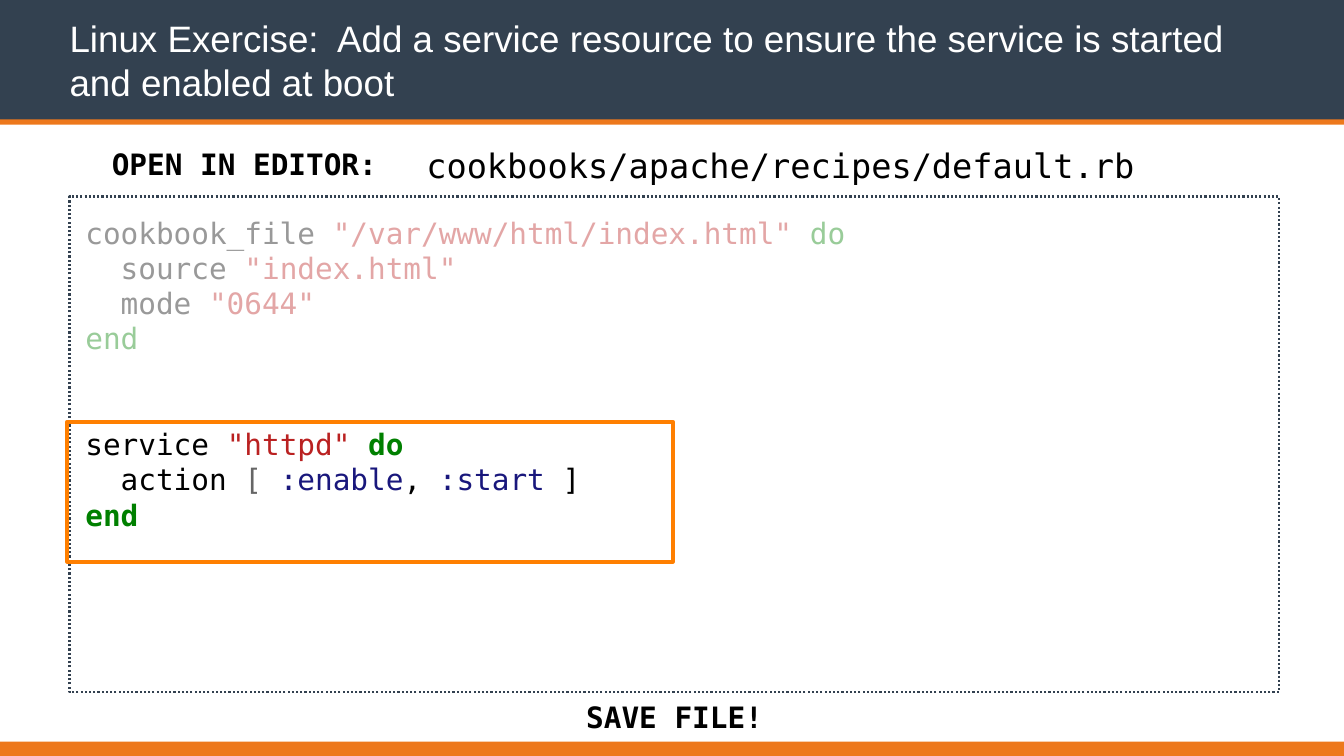
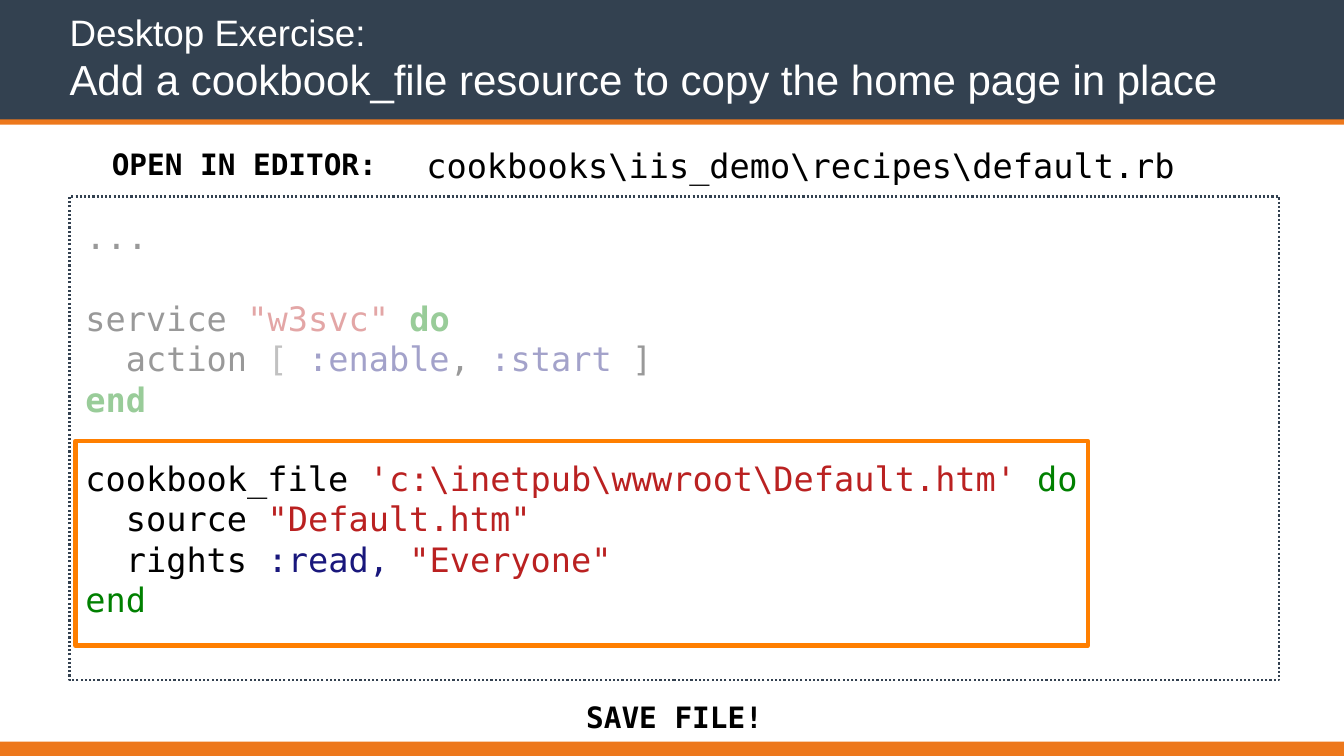
"""Build two code exercise slides that share a title band, editor frame and footer."""
from dataclasses import dataclass

from lxml import etree
from pptx import Presentation
from pptx.dml.color import RGBColor
from pptx.enum import dml, shapes, text
from pptx.oxml import ns
from pptx.util import Inches, Pt


@dataclass(frozen=True)
class Theme:
    navy: str = "334150"
    orange: str = "ED781C"
    highlight: str = "FF7F00"
    white: str = "FFFFFF"
    black: str = "000000"
    title_font: str = "Arial"
    code_font: str = "DejaVu Sans Mono"
    label_size: int = 28
    path_size: int = 32
    code_pitch: float = 1.2
    title_pitch: float = 1.18
    veil_opacity: int = 60


THEME = Theme()
WIDTH, HEIGHT = 17.78, 10

TOKENS = {
    "plain": (THEME.black, False),
    "string": ("BA2121", False),
    "keyword": ("008000", False),
    "strong": ("008000", True),
    "symbol": ("19177C", False),
    "bracket": ("666666", False),
}

ACTION_LINE = [("  action ", "plain"), ("[ ", "bracket"), (":enable", "symbol"),
               (", ", "plain"), (":start", "symbol"), (" ]", "plain")]
STRONG_END = [("end", "strong")]
KEYWORD_END = [("end", "keyword")]

# Each code line is (size, size of the gap above in lines of type, tokens).
SLIDES = [
    {
        "title": [("Linux Exercise:  Add a service resource to ensure the service "
                   "is started and enabled at boot", 35)],
        "file": "cookbooks/apache/recipes/default.rb",
        "frame_height": 6.56,
        "highlight": (0.89, 5.58, 8.01, 1.85),
        "veil": (0.97, 2.92, 12.13, 2),
        "code": [
            (28, 0, [("cookbook_file ", "plain"),
                     ('"/var/www/html/index.html" ', "string"), ("do", "keyword")]),
            (28, 0, [("  source ", "plain"), ('"index.html"', "string")]),
            (28, 0, [("  mode ", "plain"), ('"0644"', "string")]),
            (28, 0, KEYWORD_END),
            (28, 56, [("service ", "plain"), ('"httpd" ', "string"), ("do", "strong")]),
            (28, 0, ACTION_LINE),
            (28, 0, STRONG_END),
        ],
    },
    {
        "title": [("Desktop Exercise:", 35),
                  ("Add a cookbook_file resource to copy the home page in place", 40)],
        "file": "cookbooks\\iis_demo\\recipes\\default.rb",
        "frame_height": 6.4,
        "highlight": (1, 5.83, 13.39, 2.71),
        "veil": (1.08, 2.85, 12.13, 2.79),
        "code": [
            (33, 0, [("...", "plain")]),
            (32, 33, [("service ", "plain"), ('"w3svc" ', "string"), ("do", "strong")]),
            (32, 0, ACTION_LINE),
            (32, 0, STRONG_END),
            (32, 31, [("cookbook_file ", "plain"),
                      ("'c:\\inetpub\\wwwroot\\Default.htm' ", "string"),
                      ("do", "keyword")]),
            (32, 0, [("  source ", "plain"), ('"Default.htm"', "string")]),
            (32, 0, [("  rights ", "plain"), (":read, ", "symbol"),
                     ('"Everyone"', "string")]),
            (32, 0, KEYWORD_END),
        ],
    },
]


def add_box(slide, place, fill=None, line=None, line_width=0):
    shape = slide.shapes.add_shape(shapes.MSO_SHAPE.RECTANGLE, *map(Inches, place))
    shape.shadow.inherit = False
    if fill:
        shape.fill.solid()
        shape.fill.fore_color.rgb = RGBColor.from_string(fill)
    else:
        shape.fill.background()
    if line:
        shape.line.color.rgb = RGBColor.from_string(line)
        shape.line.width = Pt(line_width)
    else:
        shape.line.fill.background()
    return shape


def set_frame(shape, inset, anchor, top_inset=None):
    frame = shape.text_frame
    frame.word_wrap = True
    frame.vertical_anchor = anchor
    frame.margin_left = frame.margin_right = frame.margin_bottom = Inches(inset)
    frame.margin_top = Inches(inset if top_inset is None else top_inset)
    return frame


def style_run(run, font, size, color, bold=False):
    run.font.name = font
    run.font.size = Pt(size)
    run.font.bold = bold
    run.font.color.rgb = RGBColor.from_string(color)


def add_label(slide, place, content, size, inset=0, bold=False, align=text.PP_ALIGN.LEFT):
    label = slide.shapes.add_textbox(*map(Inches, place))
    frame = set_frame(label, inset, text.MSO_ANCHOR.MIDDLE)
    frame.text = content
    paragraph = frame.paragraphs[0]
    paragraph.alignment = align
    style_run(paragraph.runs[0], THEME.code_font, size, THEME.black, bold)


def add_text_shadow(run):
    effects = etree.Element(ns.qn("a:effectLst"))
    shadow = etree.SubElement(effects, ns.qn("a:outerShdw"), blurRad="38100",
                              dist="38100", dir="2700000", algn="tl")
    color = etree.SubElement(shadow, ns.qn("a:srgbClr"), val=THEME.black)
    etree.SubElement(color, ns.qn("a:alpha"), val="60000")
    run.font._element.find(ns.qn("a:solidFill")).addnext(effects)


def add_title(slide, lines):
    title = slide.shapes.add_textbox(*map(Inches, (0.88, 0.19, 16.03, 1.22)))
    frame = set_frame(title, 0.04, text.MSO_ANCHOR.BOTTOM)
    frame.text = "\n".join(content for content, size in lines)
    for paragraph, (content, size) in zip(frame.paragraphs, lines):
        paragraph.line_spacing = Pt(size * THEME.title_pitch)
        style_run(paragraph.runs[0], THEME.title_font, size, THEME.white)
        add_text_shadow(paragraph.runs[0])


def add_code(slide, height, lines):
    editor = add_box(slide, (0.92, 2.6, 16, height), THEME.white, THEME.navy, 2)
    editor.line.dash_style = dml.MSO_LINE.ROUND_DOT
    frame = set_frame(editor, 0.21, text.MSO_ANCHOR.TOP, top_inset=0.24)
    for index, (size, gap, tokens) in enumerate(lines):
        paragraph = frame.add_paragraph() if index else frame.paragraphs[0]
        paragraph.alignment = text.PP_ALIGN.LEFT
        paragraph.line_spacing = Pt(size * THEME.code_pitch)
        if gap:
            paragraph.space_before = Pt(gap * THEME.code_pitch)
        for content, token in tokens:
            run = paragraph.add_run()
            run.text = content
            style_run(run, THEME.code_font, size, *TOKENS[token])


def add_veil(slide, place):
    veil = add_box(slide, place, THEME.white)
    color = veil.fill._xPr.find(ns.qn("a:solidFill"))[0]
    etree.SubElement(color, ns.qn("a:alpha"), val=str(THEME.veil_opacity * 1000))


def add_bands(slide):
    add_box(slide, (0, 0, WIDTH, 1.64), THEME.navy)
    add_box(slide, (0, 1.58, WIDTH, 0.07), THEME.orange)
    add_box(slide, (0, 9.81, WIDTH, HEIGHT - 9.81), THEME.orange)


def add_exercise(presentation, exercise):
    slide = presentation.slides.add_slide(presentation.slide_layouts[6])
    add_bands(slide)
    add_label(slide, (7.26, 9.18, 3.33, 0.61), "SAVE FILE!", THEME.label_size,
              bold=True, align=text.PP_ALIGN.CENTER)
    add_code(slide, exercise["frame_height"], exercise["code"])
    add_title(slide, exercise["title"])
    add_box(slide, exercise["highlight"], line=THEME.highlight, line_width=4)
    add_veil(slide, exercise["veil"])
    add_label(slide, (1.48, 1.86, 4, 0.61), "OPEN IN EDITOR:", THEME.label_size, bold=True)
    add_label(slide, (5.52, 1.8, 11.37, 0.76), exercise["file"], THEME.path_size, inset=0.12)


def main():
    presentation = Presentation()
    presentation.slide_width = Inches(WIDTH)
    presentation.slide_height = Inches(HEIGHT)
    for exercise in SLIDES:
        add_exercise(presentation, exercise)
    presentation.save("out.pptx")


if __name__ == "__main__":
    main()
